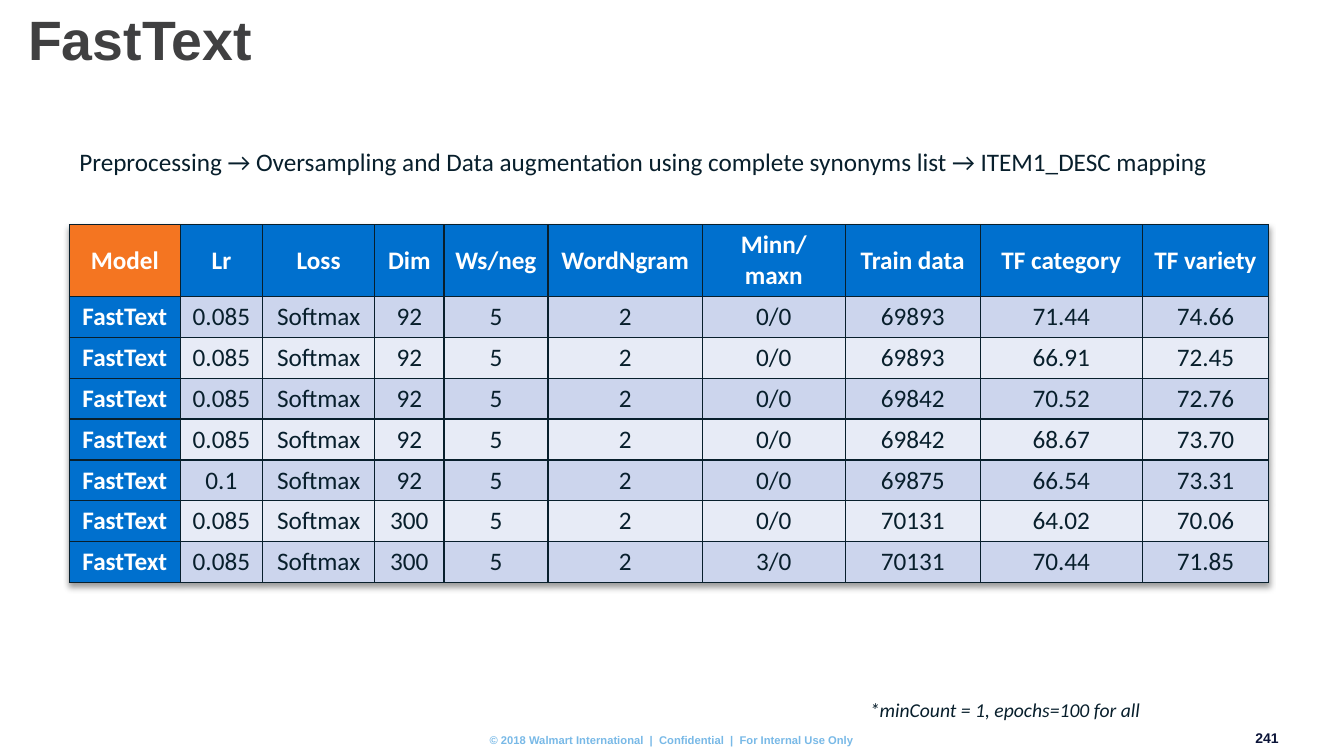
from lxml.etree import SubElement
from pptx import Presentation
from pptx.dml.color import RGBColor
from pptx.enum.text import MSO_ANCHOR, PP_ALIGN
from pptx.oxml import parse_xml
from pptx.oxml.ns import nsdecls, qn
from pptx.util import Cm, Pt

# Content
TITLE = "FastText"
PIPELINE = ("Preprocessing → Oversampling and Data augmentation using complete "
            "synonyms list → ITEM1_DESC mapping")
HEADERS = ["Model", "Lr", "Loss", "Dim", "Ws/neg", "WordNgram", "Minn/maxn",
           "Train data", "TF category", "TF variety"]
# Learning rate, dimension, minn/maxn, training rows, category score, variety score
RUNS = [
    ("0.085", "92", "0/0", "69893", "71.44", "74.66"),
    ("0.085", "92", "0/0", "69893", "66.91", "72.45"),
    ("0.085", "92", "0/0", "69842", "70.52", "72.76"),
    ("0.085", "92", "0/0", "69842", "68.67", "73.70"),
    ("0.1", "92", "0/0", "69875", "66.54", "73.31"),
    ("0.085", "300", "0/0", "70131", "64.02", "70.06"),
    ("0.085", "300", "3/0", "70131", "70.44", "71.85"),
]
FOOTNOTE = "*minCount = 1, epochs=100 for all"
COPYRIGHT = "© 2018 Walmart International  |  Confidential  |  For Internal Use Only"
PAGE_NUMBER = "241"

# Colours and table sizes
WHITE = RGBColor(0xFF, 0xFF, 0xFF)
INK = RGBColor(0x08, 0x1F, 0x2C)
NAVY = RGBColor(0x0B, 0x14, 0x38)
GREY = RGBColor(0x40, 0x40, 0x41)
SKY = RGBColor(0x78, 0xB9, 0xE7)
BLUE = RGBColor(0x00, 0x70, 0xCE)
ORANGE = RGBColor(0xF4, 0x75, 0x21)
BANDS = [RGBColor(0xCC, 0xD5, 0xED), RGBColor(0xE7, 0xEB, 0xF6)]
COLUMN_WIDTHS = [2.79, 2.08, 2.82, 1.75, 2.62, 3.89, 3.6, 3.4, 4.09, 3.18]
HEADER_HEIGHT, ROW_HEIGHT = 1.81, 1.03


def write_text(frame, text, size=18, font="Calibri", color=INK, bold=False,
               italic=False, align=PP_ALIGN.LEFT, line_spacing=None):
    paragraph = frame.paragraphs[0]
    paragraph.alignment = align
    paragraph.line_spacing = line_spacing
    run = paragraph.add_run()
    run.text = text
    run.font.size = Pt(size)
    run.font.name = font
    run.font.color.rgb = color
    run.font.bold = bold
    run.font.italic = italic


def add_text(slide, left, top, width, height, text, inset=True,
             anchor=MSO_ANCHOR.TOP, **style):
    shape = slide.shapes.add_textbox(Cm(left), Cm(top), Cm(width), Cm(height))
    frame = shape.text_frame
    frame.word_wrap = True
    frame.vertical_anchor = anchor
    if not inset:
        frame.margin_left = frame.margin_right = 0
        frame.margin_top = frame.margin_bottom = 0
    write_text(frame, text, **style)


def add_borders(cell):
    properties = cell._tc.get_or_add_tcPr()
    for position, side in enumerate(("lnL", "lnR", "lnT", "lnB")):
        line = parse_xml(f'<a:{side} {nsdecls("a")} w="{Pt(1)}"/>')
        fill = SubElement(line, qn("a:solidFill"))
        SubElement(fill, qn("a:srgbClr"), val=str(INK))
        properties.insert(position, line)


def add_results_table(slide, left, top):
    rows = [HEADERS] + [
        ["FastText", rate, "Softmax", dimension, "5", "2", *scores]
        for rate, dimension, *scores in RUNS]
    heights = [HEADER_HEIGHT] + [ROW_HEIGHT] * len(RUNS)
    table = slide.shapes.add_table(
        len(rows), len(HEADERS), Cm(left), Cm(top),
        Cm(sum(COLUMN_WIDTHS)), Cm(sum(heights))).table
    for column, width in zip(table.columns, COLUMN_WIDTHS):
        column.width = Cm(width)

    for row_index, values in enumerate(rows):
        table.rows[row_index].height = Cm(heights[row_index])
        for column_index, value in enumerate(values):
            cell = table.cell(row_index, column_index)
            is_heading = row_index == 0 or column_index == 0
            if row_index == column_index == 0:
                background = ORANGE
            else:
                background = BLUE if is_heading else BANDS[(row_index - 1) % 2]
            cell.fill.solid()
            cell.fill.fore_color.rgb = background
            cell.vertical_anchor = MSO_ANCHOR.MIDDLE
            write_text(cell.text_frame, value, bold=is_heading,
                       color=WHITE if is_heading else INK, align=PP_ALIGN.CENTER)
            add_borders(cell)

    # Soft shadow below the table
    table._tbl.tblPr.insert(0, parse_xml(
        f'<a:effectLst {nsdecls("a")}><a:outerShdw blurRad="50800" dist="38100" '
        'dir="5400000" algn="t" rotWithShape="0"><a:srgbClr val="000000">'
        '<a:alpha val="40000"/></a:srgbClr></a:outerShdw></a:effectLst>'))


def main():
    presentation = Presentation()
    presentation.slide_width, presentation.slide_height = Cm(33.87), Cm(19.05)
    slide = presentation.slides.add_slide(presentation.slide_layouts[6])

    # Title and pipeline
    add_text(slide, 0.46, 0.41, 29.21, 1.32, TITLE, anchor=MSO_ANCHOR.MIDDLE,
             size=39.6, font="Arial", color=GREY, bold=True, line_spacing=0.9)
    add_text(slide, 1.75, 3.56, 29.21, 1.02, PIPELINE)

    # Results
    add_results_table(slide, 1.75, 5.66)
    add_text(slide, 21.67, 17.45, 11, 0.86, FOOTNOTE, size=14, italic=True)

    # Footer
    add_text(slide, 11.56, 18.47, 10.74, 0.33, COPYRIGHT, inset=False, size=8,
             font="Arial", color=SKY, bold=True, align=PP_ALIGN.CENTER)
    add_text(slide, 31.22, 18.39, 1, 0.43, PAGE_NUMBER, inset=False, size=10,
             font="Arial", color=NAVY, bold=True, align=PP_ALIGN.RIGHT)

    presentation.save("out.pptx")


if __name__ == "__main__":
    main()
